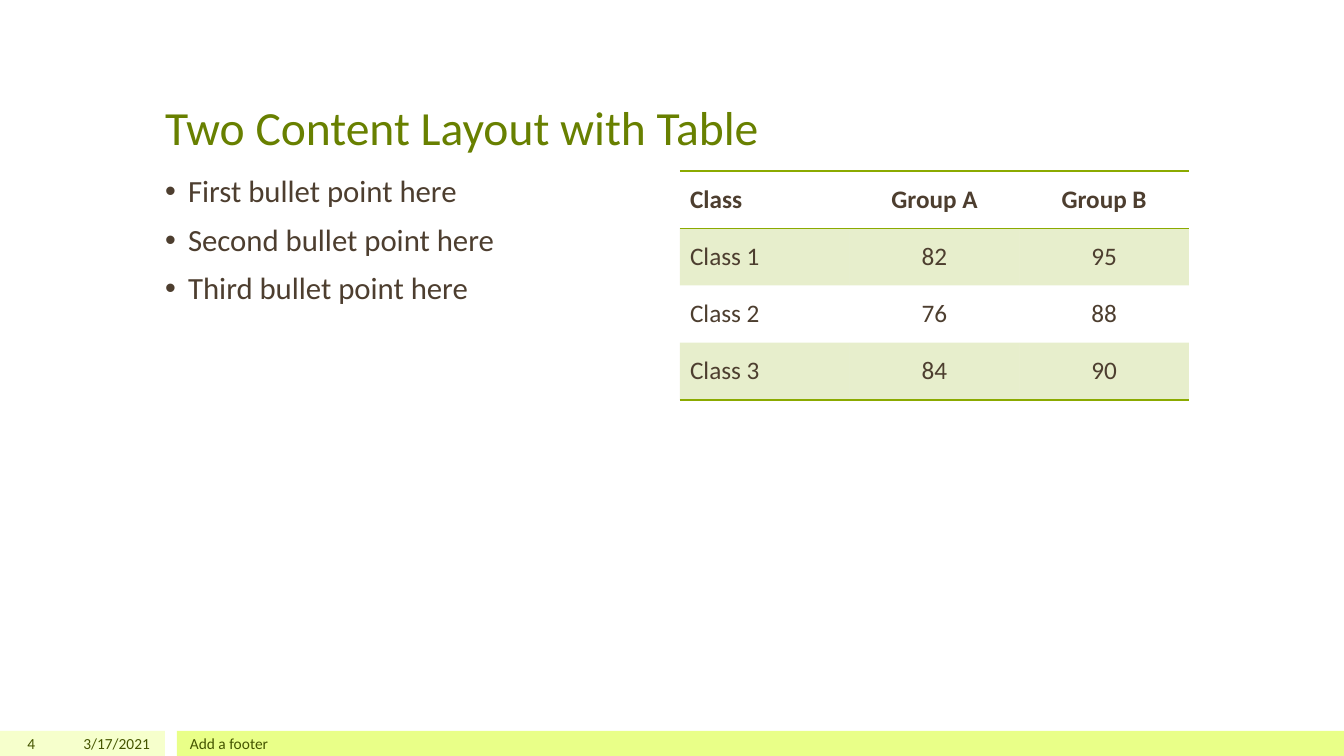
from lxml import etree
from pptx import Presentation
from pptx import util as u
from pptx.dml.color import RGBColor
from pptx.enum import shapes, text
from pptx.oxml.ns import qn

SCALE = 914400 / 100.8
COLORS = {
    "title": "688000", "body": "4D3E2F", "footer": "455500",
    "pale": "F6FFCC", "lime": "E9FF88", "accent": "8BAA00",
}
LEFT, CENTER, RIGHT = text.PP_ALIGN.LEFT, text.PP_ALIGN.CENTER, text.PP_ALIGN.RIGHT
MIDDLE, BOTTOM, TOP = text.MSO_ANCHOR.MIDDLE, text.MSO_ANCHOR.BOTTOM, text.MSO_ANCHOR.TOP
BULLETS = ["First bullet point here", "Second bullet point here", "Third bullet point here"]
SCORES = [
    ["Class", "Group A", "Group B"],
    ["Class 1", "82", "95"],
    ["Class 2", "76", "88"],
    ["Class 3", "84", "90"],
]
NO_STYLE = "{2D5ABB26-0587-4C30-8999-92F81FD0307C}"


def px(length):
    return u.Emu(round(length * SCALE))


def set_all(target, values):
    for key, value in values.items():
        setattr(target, key, value)


def place(item, box):
    set_all(item, dict(zip(("left", "top", "width", "height"), map(px, box))))


def write(frame, lines, size, color, align=LEFT, bold=False, **spacing):
    frame.text = "\n".join(lines)
    for paragraph in frame.paragraphs:
        set_all(paragraph, {"alignment": align, **spacing})
        for run in paragraph.runs:
            set_all(run.font, {"name": "Calibri", "size": u.Pt(size), "bold": bold})
            run.font.color.rgb = RGBColor.from_string(COLORS[color])


def add_title(slide, box):
    title = slide.shapes.title
    place(title, box)
    set_all(title.text_frame, {"vertical_anchor": BOTTOM, "auto_size": text.MSO_AUTO_SIZE.NONE})
    write(title.text_frame, ["Two Content Layout with Table"], 34, "title")


def add_bullets(slide, box):
    points = slide.placeholders[1]
    place(points, box)
    set_all(points.text_frame, {"vertical_anchor": TOP, "auto_size": text.MSO_AUTO_SIZE.NONE})
    write(points.text_frame, BULLETS, 22, "body", line_spacing=0.9, space_before=u.Pt(11))
    for paragraph in points.text_frame.paragraphs:
        properties = paragraph._p.get_or_add_pPr()
        properties.set("marL", str(px(23)))
        properties.set("indent", str(-px(23)))
        etree.SubElement(properties, qn("a:buChar"), char="•")


def add_border(cell, side):
    properties = cell._tc.get_or_add_tcPr()
    line = etree.Element(qn("a:" + side), w=str(u.Pt(1)))
    fill = etree.SubElement(line, qn("a:solidFill"))
    etree.SubElement(fill, qn("a:srgbClr"), val=COLORS["accent"])
    properties.insert(0, line)


def fill_band(cell):
    cell.fill.solid()
    cell.fill.fore_color.rgb = RGBColor.from_string(COLORS["accent"])
    tint = cell._tc.tcPr.find(".//" + qn("a:srgbClr"))
    etree.SubElement(tint, qn("a:alpha"), val="20000")


def add_scores(slide, box):
    last = len(SCORES) - 1
    scores = slide.shapes.add_table(len(SCORES), len(SCORES[0]), *map(px, box)).table
    set_all(scores, {"first_row": False, "horz_banding": False})
    scores._tbl.tblPr.find(qn("a:tableStyleId")).text = NO_STYLE
    for r, row in enumerate(SCORES):
        for c, value in enumerate(row):
            cell = scores.cell(r, c)
            cell.vertical_anchor = MIDDLE
            write(cell.text_frame, [value], 18, "body", CENTER if c else LEFT, r == 0)
            if r % 2:
                fill_band(cell)
            else:
                cell.fill.background()
            if r in (0, last):
                add_border(cell, "lnB")
            if r == 0:
                add_border(cell, "lnT")


def add_footer(slide, box):
    left, top, width, height = box
    for x, w, color in ((0, 165, "pale"), (177, width - 177, "lime")):
        band = slide.shapes.add_shape(
            shapes.MSO_SHAPE.RECTANGLE, *map(px, (left + x, top, w, height)))
        band.shadow.inherit = False
        band.fill.solid()
        band.fill.fore_color.rgb = RGBColor.from_string(COLORS[color])
        band.line.fill.background()
    for x, w, label, align in (
        (0, 45, "4", RIGHT), (50, 110, "3/17/2021", RIGHT), (180, 1008, "Add a footer", LEFT),
    ):
        note = slide.shapes.add_textbox(*map(px, (left + x, top, w, height))).text_frame
        set_all(note, {"word_wrap": True, "vertical_anchor": MIDDLE,
                       "margin_top": 0, "margin_bottom": 0})
        write(note, [label], 11, "footer", align)


def main():
    deck = Presentation()
    set_all(deck, {"slide_width": px(1344), "slide_height": px(756)})
    slide = deck.slides.add_slide(deck.slide_layouts[1])
    add_footer(slide, (0, 731, 1344, 25))
    add_title(slide, (155, 30, 1033, 130))
    add_bullets(slide, (155, 171, 508, 509))
    add_scores(slide, (680, 171, 509, 229))
    deck.save("out.pptx")


if __name__ == "__main__":
    main()
